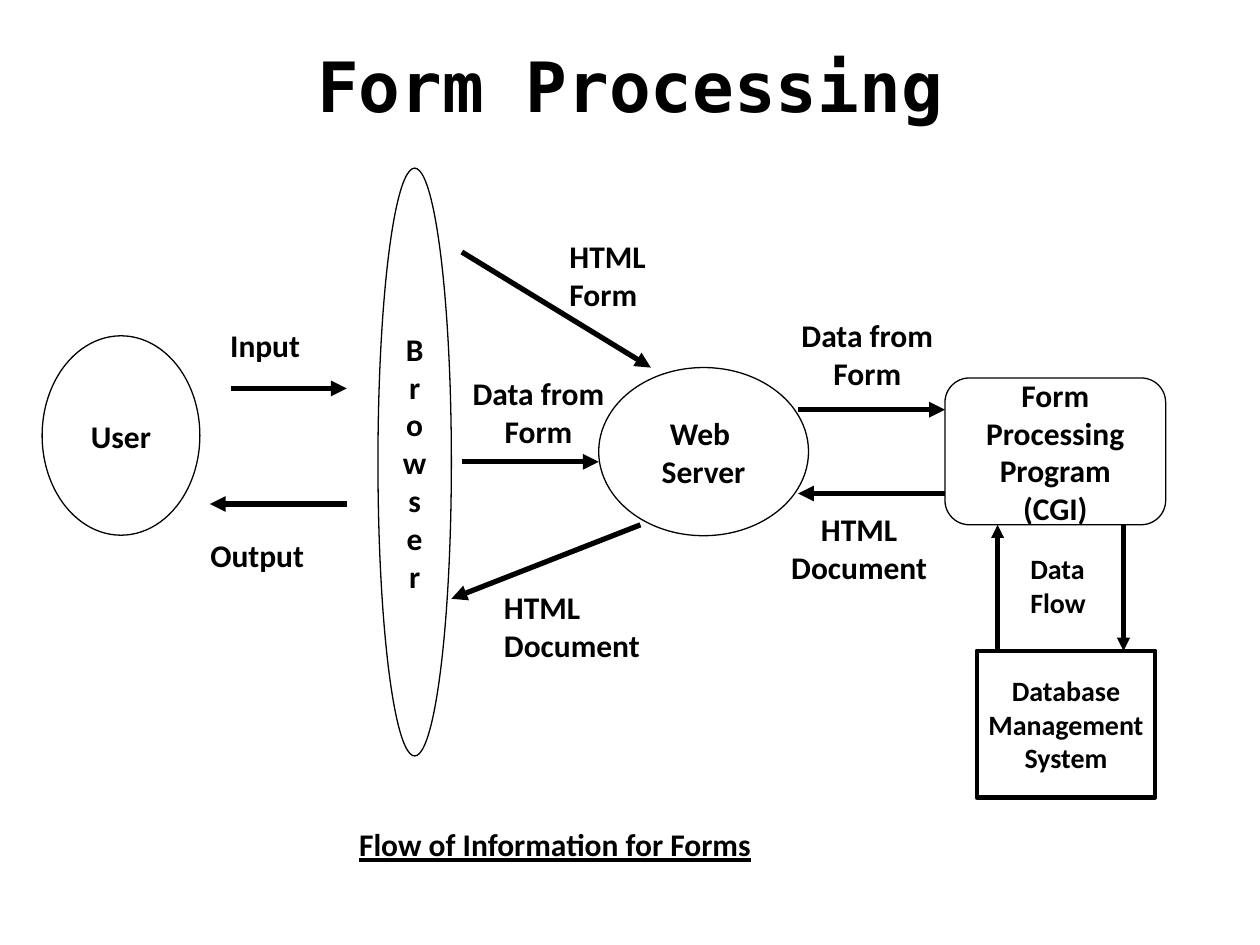
from lxml import etree
from pptx import Presentation
from pptx.dml.color import RGBColor
from pptx.enum.shapes import MSO_CONNECTOR, MSO_SHAPE
from pptx.enum.text import MSO_ANCHOR, PP_ALIGN
from pptx.oxml.ns import qn
from pptx.util import Cm, Pt

OVAL = MSO_SHAPE.OVAL
ROUNDED = MSO_SHAPE.ROUNDED_RECTANGLE
RECTANGLE = MSO_SHAPE.RECTANGLE
STRAIGHT = MSO_CONNECTOR.STRAIGHT
LEFT, CENTER = PP_ALIGN.LEFT, PP_ALIGN.CENTER
MIDDLE, TOP = MSO_ANCHOR.MIDDLE, MSO_ANCHOR.TOP

COLORS = {"ink": "000000", "paper": "FFFFFF"}
BODY_FONT = "Calibri"
TITLE_FONT = "DejaVu Sans Mono"

NODES = [
    (OVAL, (0.85, 6.77, 3.18, 4.02), "User", 18, 0.75),
    (OVAL, (7.62, 3.39, 1.48, 11.85), "\n".join("Browser"), 18, 0.75),
    (OVAL, (12.07, 7.41, 4.23, 3.39), "Web \nServer", 18, 0.75),
    (ROUNDED, (19.05, 7.62, 4.45, 2.96), "Form\nProcessing\nProgram\n(CGI)", 18, 0.75),
    (RECTANGLE, (19.69, 13.12, 3.6, 2.96), "Database\nManagement\nSystem", 16, 2.5),
]

FLOWS = [
    ((4.66, 7.83), (6.99, 7.83), 3),
    ((6.99, 10.16), (4.23, 10.16), 3),
    ((9.31, 5.08), (13.12, 7.41), 3),
    ((9.31, 9.31), (12.07, 9.31), 3),
    ((12.91, 10.58), (9.1, 12.07), 3),
    ((16.09, 8.26), (19.05, 8.26), 3),
    ((19.05, 9.95), (16.09, 9.95), 3),
    ((20.11, 13.12), (20.11, 10.58), 2.5),
    ((22.65, 10.58), (22.65, 13.12), 2.5),
]

LABELS = [
    ((3.99, 10.69, 2.49, 1.02), "Output", 18, LEFT),
    ((4.39, 6.45, 2.03, 1.02), "Input", 18, LEFT),
    ((15.82, 6.25, 3.33, 1.78), "Data from\nForm", 18, CENTER),
    ((15.67, 10.16, 3.3, 1.78), "HTML\nDocument", 18, CENTER),
    ((9.91, 11.73, 3.3, 1.78), "HTML\nDocument", 18, LEFT),
    ((9.09, 7.42, 3.53, 1.78), "Data from\nForm", 18, CENTER),
    ((11.23, 4.65, 2.62, 1.78), "HTML\nForm", 18, LEFT),
    ((20.52, 11, 1.7, 1.63), "Data\nFlow", 16, LEFT),
]


def color(name):
    return RGBColor.from_string(COLORS[name])


def write_text(frame, text, size, align=CENTER, anchor=MIDDLE, wrap=True,
               font_name=BODY_FONT, underline=None):
    frame.text = text
    frame.word_wrap = wrap
    frame.vertical_anchor = anchor
    for paragraph in frame.paragraphs:
        paragraph.alignment = align
        font = paragraph.font
        font.name = font_name
        font.size = Pt(size)
        font.bold = True
        font.underline = underline
        font.color.rgb = color("ink")


def add_node(slide, kind, box, text, size, outline):
    node = slide.shapes.add_shape(kind, *map(Cm, box))
    node.shadow.inherit = False
    node.fill.solid()
    node.fill.fore_color.rgb = color("paper")
    node.line.color.rgb = color("ink")
    node.line.width = Pt(outline)
    write_text(node.text_frame, text, size, wrap=False)


def add_flow(slide, start, end, weight):
    flow = slide.shapes.add_connector(STRAIGHT, *map(Cm, start + end))
    flow.line.color.rgb = color("ink")
    flow.line.width = Pt(weight)
    etree.SubElement(flow.line._get_or_add_ln(), qn("a:tailEnd"), type="triangle")
    etree.SubElement(flow._element.spPr, qn("a:effectLst"))


def add_label(slide, box, text, size, align, anchor=TOP, **style):
    label = slide.shapes.add_textbox(*map(Cm, box))
    write_text(label.text_frame, text, size, align, anchor, **style)


def main():
    presentation = Presentation()
    presentation.slide_width = Cm(25.4)
    presentation.slide_height = Cm(19.05)
    slide = presentation.slides.add_slide(presentation.slide_layouts[6])

    add_label(slide, (1.9, 0.85, 21.6, 1.7), "Form Processing", 39.6, CENTER,
              MIDDLE, font_name=TITLE_FONT)
    for node in NODES:
        add_node(slide, *node)
    for flow in FLOWS:
        add_flow(slide, *flow)
    for label in LABELS:
        add_label(slide, *label)
    add_label(slide, (6.99, 16.51, 11.7, 1.27), "Flow of Information for Forms",
              18, LEFT, underline=True)

    presentation.save("out.pptx")


if __name__ == "__main__":
    main()
